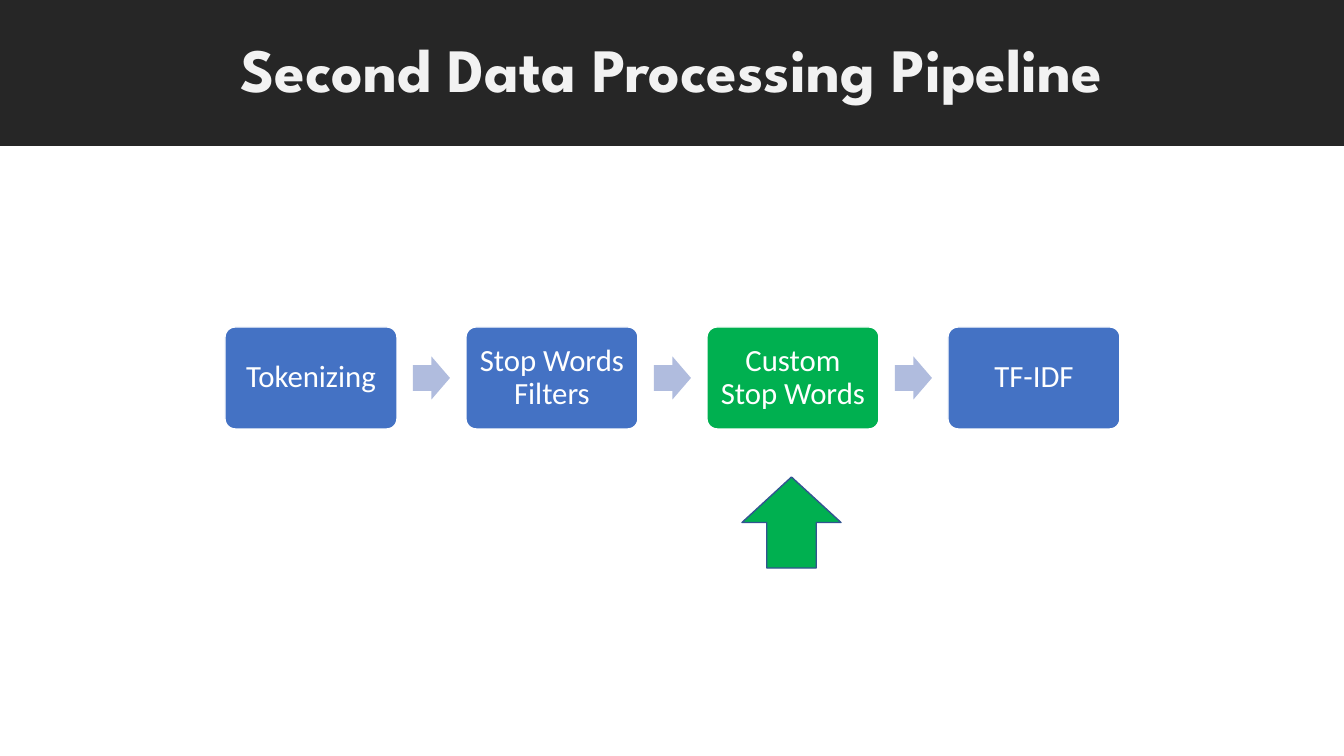
from pptx import Presentation
from pptx import util as u
from pptx.dml.color import RGBColor
from pptx.enum import shapes, text

TITLE = "Second Data Processing Pipeline"
STEPS = [
    ("Tokenizing", "blue"),
    ("Stop Words Filters", "blue"),
    ("Custom Stop Words", "green"),
    ("TF-IDF", "blue"),
]
COLORS = {
    "band": "262626",
    "title": "F2F2F2",
    "blue": "4472C4",
    "green": "00B050",
    "arrow": "B0BCDE",
    "outline": "325491",
    "white": "FFFFFF",
}

# Lengths in px
PAGE_W, PAGE_H = 1344, 756
BAND_H = 146
STEP_X, STEP_Y, STEP_W, STEP_H = 225, 327, 172, 102
STEP_PITCH = 241
ARROW_W, ARROW_H = 37, 43
ARROW_OFFSET = 188
MARKER = (742, 477, 99, 91)
INSET = 9
SCALE = 12192000 / PAGE_W


def px(length):
    return u.Emu(round(length * SCALE))


def color(name):
    return RGBColor.from_string(COLORS[name])


def add_block(page, kind, box, fill, line=None, adjust=()):
    """Add a flat preset shape; box is left, top, width, height in px."""
    block = page.shapes.add_shape(kind, *map(px, box))
    block.shadow.inherit = False
    block.fill.solid()
    block.fill.fore_color.rgb = color(fill)
    if line:
        block.line.color.rgb = color(line)
        block.line.width = u.Pt(1)
    else:
        block.line.fill.background()
    for index, value in enumerate(adjust):
        block.adjustments[index] = value
    return block


def write(block, words, font, size, ink, bold=False):
    frame = block.text_frame
    frame.word_wrap = True
    frame.vertical_anchor = text.MSO_ANCHOR.MIDDLE
    frame.margin_left = frame.margin_right = px(INSET)
    frame.margin_top = frame.margin_bottom = px(INSET)
    para = frame.paragraphs[0]
    para.alignment = text.PP_ALIGN.CENTER
    para.line_spacing = 0.9
    span = para.add_run()
    span.text = words
    span.font.name = font
    span.font.size = u.Pt(size)
    span.font.bold = bold
    span.font.color.rgb = color(ink)


def main():
    deck = Presentation()
    deck.slide_width, deck.slide_height = px(PAGE_W), px(PAGE_H)
    page = deck.slides.add_slide(deck.slide_layouts[6])
    preset = shapes.MSO_SHAPE

    band = add_block(page, preset.RECTANGLE, (0, 0, PAGE_W, BAND_H), "band")
    write(band, TITLE, "League Spartan", 44, "title", bold=True)

    arrow_y = STEP_Y + (STEP_H - ARROW_H) / 2
    for index, (words, fill) in enumerate(STEPS):
        left = STEP_X + index * STEP_PITCH
        step = add_block(page, preset.ROUNDED_RECTANGLE,
                         (left, STEP_Y, STEP_W, STEP_H), fill, "white", [0.1])
        write(step, words, "Calibri", 22, "white")
        if index < len(STEPS) - 1:
            add_block(page, preset.RIGHT_ARROW,
                      (left + ARROW_OFFSET, arrow_y, ARROW_W, ARROW_H),
                      "arrow", adjust=[0.6, 0.5])

    add_block(page, preset.UP_ARROW, MARKER, "green", "outline")
    deck.save("out.pptx")


if __name__ == "__main__":
    main()
